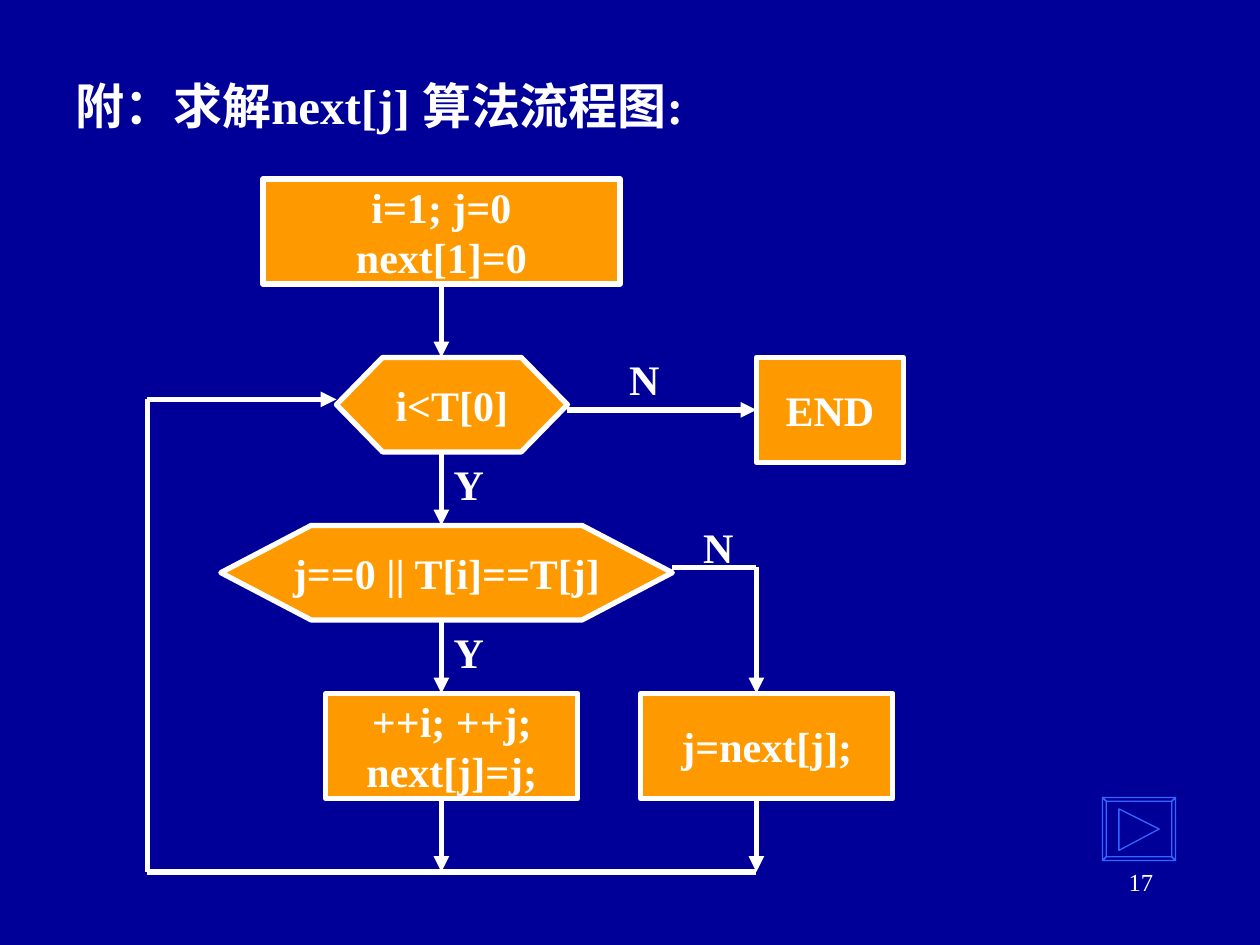
from lxml import etree
from pptx import Presentation
from pptx.dml.color import RGBColor
from pptx.enum.shapes import MSO_CONNECTOR, MSO_SHAPE
from pptx.enum.text import MSO_ANCHOR, MSO_AUTO_SIZE, PP_ALIGN
from pptx.oxml.ns import qn
from pptx.util import Inches, Pt

NAVY = RGBColor(0x00, 0x00, 0x99)
ORANGE = RGBColor(0xFF, 0x99, 0x00)
WHITE = RGBColor(0xFF, 0xFF, 0xFF)
BLUE = RGBColor(0x33, 0x66, 0xFF)
FONT = "Times New Roman"

# Flowchart positions are in grid steps from the top left of its box
GRID = Inches(1) // 12
PROCESS = MSO_SHAPE.FLOWCHART_PROCESS
DECISION = MSO_SHAPE.FLOWCHART_PREPARATION
NODES = [
    (PROCESS, (11, 0, 34, 10), "i=1; j=0\nnext[1]=0"),
    (DECISION, (18, 17, 22, 9), "i<T[0]"),
    (DECISION, (7, 33, 43, 9), "j==0 || T[i]==T[j]"),
    (PROCESS, (17, 49, 24, 10), "++i; ++j;\nnext[j]=j;"),
    (PROCESS, (47, 49, 24, 10), "j=next[j];"),
    (PROCESS, (58, 17, 14, 10), "END"),
]
ARROWS = [
    (28, 10, 28, 17), (28, 26, 28, 33), (28, 42, 28, 49), (28, 59, 28, 66),
    (58, 37, 58, 49), (58, 59, 58, 66), (0, 21, 18, 21), (40, 22, 58, 22),
]
PLAIN_LINES = [(50, 37, 58, 37), (0, 66, 58, 66), (0, 21, 0, 66)]
LABELS = [("Y", 28, 26), ("Y", 28, 42), ("N", 44.7, 16), ("N", 51.75, 32)]


def write(text_frame, text, size, bold=True, align=PP_ALIGN.LEFT):
    text_frame.text = text
    for paragraph in text_frame.paragraphs:
        paragraph.alignment = align
        font = paragraph.font
        font.name, font.size, font.bold = FONT, Pt(size), bold
        font.color.rgb = WHITE


def add_node(shapes, kind, left, top, width, height, text):
    shape = shapes.add_shape(kind, left, top, width, height)
    shape.shadow.inherit = False
    shape.fill.solid()
    shape.fill.fore_color.rgb = ORANGE
    shape.line.color.rgb = WHITE
    shape.line.width = Pt(3)
    shape.text_frame.word_wrap = False
    shape.text_frame.vertical_anchor = MSO_ANCHOR.MIDDLE
    write(shape.text_frame, text, 24, align=PP_ALIGN.CENTER)


def add_line(shapes, start_x, start_y, end_x, end_y, arrow):
    line = shapes.add_connector(MSO_CONNECTOR.STRAIGHT, start_x, start_y, end_x, end_y)
    line.line.color.rgb = WHITE
    line.line.width = Pt(3)
    if arrow:
        etree.SubElement(line.line._get_or_add_ln(), qn("a:tailEnd"), type="triangle")
    etree.SubElement(line._element.spPr, qn("a:effectLst"))


def add_label(shapes, text, left, top):
    label = shapes.add_textbox(left, top, Inches(0.44), Inches(0.5))
    label.text_frame.word_wrap = False
    label.text_frame.auto_size = MSO_AUTO_SIZE.SHAPE_TO_FIT_TEXT
    write(label.text_frame, text, 24)


def add_title(slide, left, top, width, height):
    title = slide.shapes.title
    title.left, title.top, title.width, title.height = left, top, width, height
    title.text_frame.vertical_anchor = MSO_ANCHOR.MIDDLE
    write(title.text_frame, "附：求解next[j] 算法流程图:", 28)


def add_flowchart(slide, left, top):
    shapes = slide.shapes.add_group_shape().shapes

    def place(x, y):
        return left + round(x * GRID), top + round(y * GRID)

    for kind, (x, y, width, height), text in NODES:
        add_node(shapes, kind, *place(x, y), width * GRID, height * GRID, text)
    for lines, arrow in ((ARROWS, True), (PLAIN_LINES, False)):
        for start_x, start_y, end_x, end_y in lines:
            add_line(shapes, *place(start_x, start_y), *place(end_x, end_y), arrow)
    for text, x, y in LABELS:
        add_label(shapes, text, *place(x, y))


def add_next_button(slide, left, top, width, height):
    bevel = Inches(0.03)
    right, bottom = left + width, top + height
    outer = [(left, top), (right, top), (right, bottom), (left, bottom)]
    inner = [(left + bevel, top + bevel), (right - bevel, top + bevel),
             (right - bevel, bottom - bevel), (left + bevel, bottom - bevel)]
    triangle = [(left + Inches(0.13), top + Inches(0.09)),
                (left + Inches(0.45), top + height // 2),
                (left + Inches(0.13), bottom - Inches(0.08))]
    # Frame, four bevelled sides and the triangle
    sides = [[outer[i], outer[(i + 1) % 4], inner[(i + 1) % 4], inner[i]]
             for i in range(4)]
    builder = slide.shapes.build_freeform(*outer[0])
    builder.add_line_segments(outer[1:], close=True)
    for outline in sides + [triangle]:
        builder.move_to(*outline[0])
        builder.add_line_segments(outline[1:], close=True)
    button = builder.convert_to_shape()
    button.shadow.inherit = False
    button.fill.background()
    button.line.color.rgb = BLUE
    button.line.width = Pt(0.75)


def add_page_number(slide, left, top, width, height):
    box = slide.shapes.add_textbox(left, top, width, height)
    box.text_frame.word_wrap = True
    write(box.text_frame, "17", 14, bold=False, align=PP_ALIGN.RIGHT)


def main():
    presentation = Presentation()
    presentation.slide_width, presentation.slide_height = Inches(10), Inches(7.5)
    slide = presentation.slides.add_slide(presentation.slide_layouts[5])
    slide.background.fill.solid()
    slide.background.fill.fore_color.rgb = NAVY

    add_flowchart(slide, Inches(1.17), Inches(1.42))
    add_title(slide, Inches(0.5), Inches(0.42), Inches(6.33), Inches(0.83))
    add_next_button(slide, Inches(8.75), Inches(6.33), Inches(0.58), Inches(0.5))
    add_page_number(slide, Inches(7.17), Inches(6.83), Inches(2.08), Inches(0.5))
    presentation.save("out.pptx")


if __name__ == "__main__":
    main()
